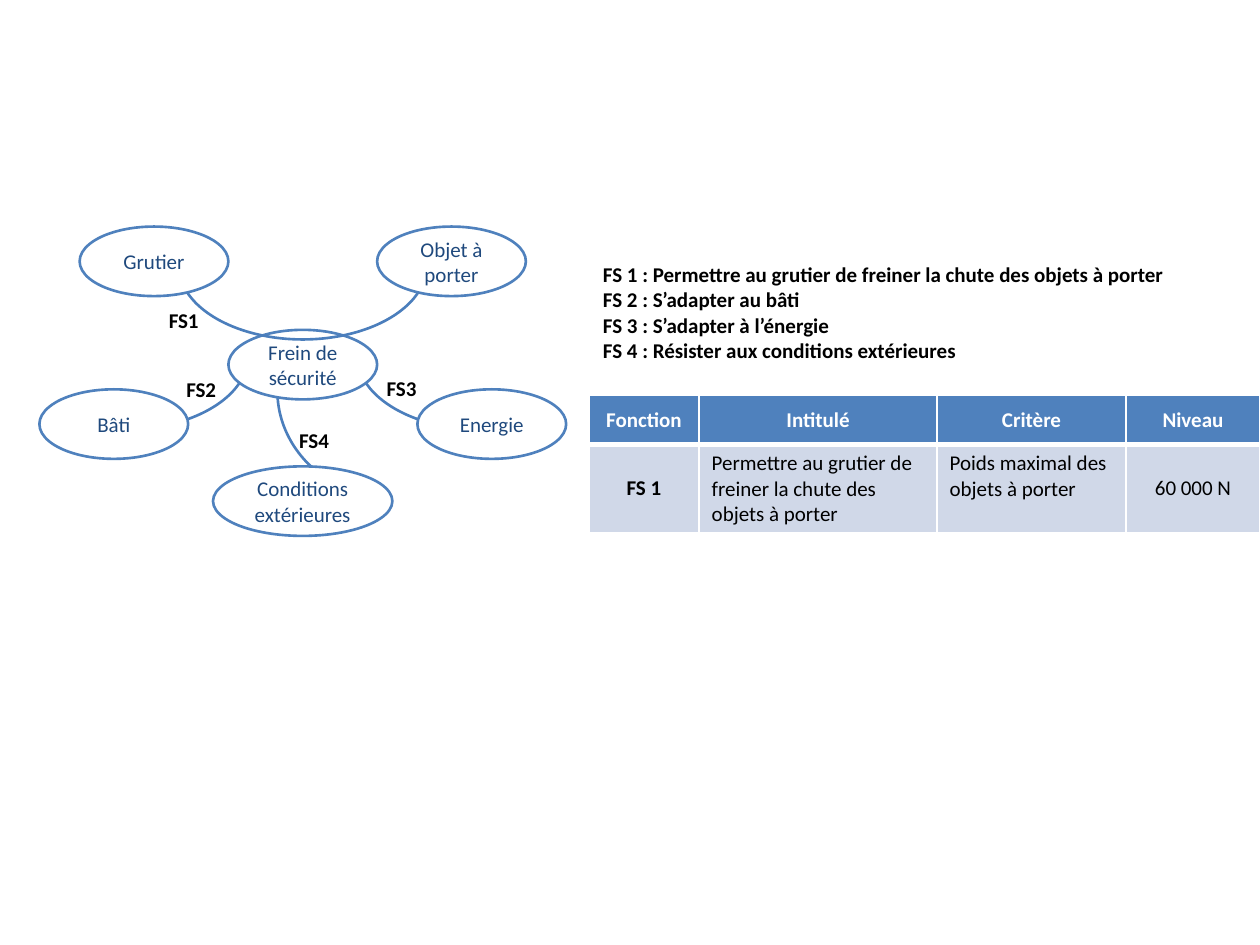
from pptx import Presentation
from pptx.util import Pt
from pptx.dml.color import RGBColor as Rgb
from pptx.enum.shapes import MSO_SHAPE as Kind
from pptx.enum.text import PP_ALIGN as Align, MSO_ANCHOR as Anchor
from pptx.oxml import parse_xml
from pptx.oxml.ns import nsdecls, qn

HUE = {"arc": "4B7EBC", "edge": "4F81BD", "label": "1F497D",
       "white": "FFFFFF", "black": "000000", "band": "D0D8E8"}


def write(frame, text, color="black", bold=False, align=Align.CENTER,
          anchor=Anchor.TOP, wrap=True):
    frame.word_wrap = wrap
    frame.vertical_anchor = anchor
    for i, line in enumerate(text.split("\n")):
        para = frame.paragraphs[0] if i == 0 else frame.add_paragraph()
        para.alignment = align
        run = para.add_run()
        run.text = line
        run.font.size = Pt(12)
        run.font.name = "Calibri"
        run.font.bold = bold
        run.font.color.rgb = Rgb.from_string(HUE[color])


def draw(kind, box, color):
    shape = group.shapes.add_shape(kind, *map(Pt, box))
    shape.shadow.inherit = False
    shape.line.color.rgb = Rgb.from_string(HUE[color])
    shape.line.width = Pt(1.5)
    return shape


deck = Presentation()
deck.slide_width, deck.slide_height = Pt(720), Pt(540)
slide = deck.slides.add_slide(deck.slide_layouts[6])
group = slide.shapes.add_group_shape()

parts = [
    ("arc", 0, 160.5, 142, 85, 175.18, "V"),
    ("arc", 204, 160.5, 142, 85, 175.18, "HV"),
    ("arc", 158.5, 160.5, 142, 126, 190.16, "HV"),
    ("node", 130.5, 188.5, 85, "Frein de sécurité"),
    ("node", 22.5, 222.5, 85, "Bâti"),
    ("node", 121.75, 266.5, 102.5, "Conditions extérieures"),
    ("arc", 102, 109, 142, 85, 109.67, "V"),
    ("node", 238.5, 222.5, 85, "Energie"),
    ("node", 45.5, 129.5, 85, "Grutier"),
    ("node", 215.5, 129.5, 85, "Objet à porter"),
]
for part, *spot in parts:
    if part == "arc":
        *box, start, flips = spot
        arc = draw(Kind.ARC, box, "arc")
        arc.fill.background()
        arc.adjustments[0] = start
        arc.adjustments[1] = 0
        frame = arc._element.spPr.find(qn("a:xfrm"))
        for axis in flips:
            frame.set("flip" + axis, "1")
    else:
        left, top, width, name = spot
        node = draw(Kind.OVAL, (left, top, width, 39.75), "edge")
        node.fill.solid()
        node.fill.fore_color.rgb = Rgb.from_string(HUE["white"])
        write(node.text_frame, name, color="label", anchor=Anchor.MIDDLE)

marks = [(88, 172), (98, 211.5), (212.5, 210.75), (162.5, 240.5)]
for i, (left, top) in enumerate(marks, 1):
    mark = group.shapes.add_textbox(Pt(left), Pt(top), Pt(34), Pt(21.75))
    write(mark.text_frame, f"FS{i}", bold=True, wrap=False)

rows = [["Fonction", "Intitulé", "Critère", "Niveau"],
        ["FS 1", "Permettre au grutier de freiner la chute des objets à porter",
         "Poids maximal des objets à porter", "60 000 N"]]
grid = slide.shapes.add_table(2, 4, Pt(336.5), Pt(226), Pt(383.5), Pt(78.5)).table
for col, width in zip(grid.columns, (63, 136, 108, 76.5)):
    col.width = Pt(width)
for row, height in zip(grid.rows, (28, 50.5)):
    row.height = Pt(height)
for r, row in enumerate(rows):
    for c, text in enumerate(row):
        cell = grid.cell(r, c)
        head = r == 0
        prose = not head and c in (1, 2)
        cell.fill.solid()
        cell.fill.fore_color.rgb = Rgb.from_string(HUE["edge" if head else "band"])
        write(cell.text_frame, text, color="white" if head else "black",
              bold=head or c == 0, align=Align.LEFT if prose else Align.CENTER)
        cell.vertical_anchor = Anchor.TOP if prose else Anchor.MIDDLE
        props = cell._tc.get_or_add_tcPr()
        for i, side in enumerate("LRTB"):
            thick = 3 if side == ("B" if head else "T") else 1
            props.insert(i, parse_xml(
                f'<a:ln{side} {nsdecls("a")} w="{Pt(thick)}"><a:solidFill>'
                f'<a:srgbClr val="{HUE["white"]}"/></a:solidFill></a:ln{side}>'))

goals = slide.shapes.add_textbox(Pt(337.5), Pt(146), Pt(382.5), Pt(65.5))
write(goals.text_frame,
      "FS 1 : Permettre au grutier de freiner la chute des objets à porter\n"
      "FS 2 : S’adapter au bâti\n"
      "FS 3 : S’adapter à l’énergie\n"
      "FS 4 : Résister aux conditions extérieures",
      bold=True, align=Align.LEFT)

deck.save("out.pptx")
